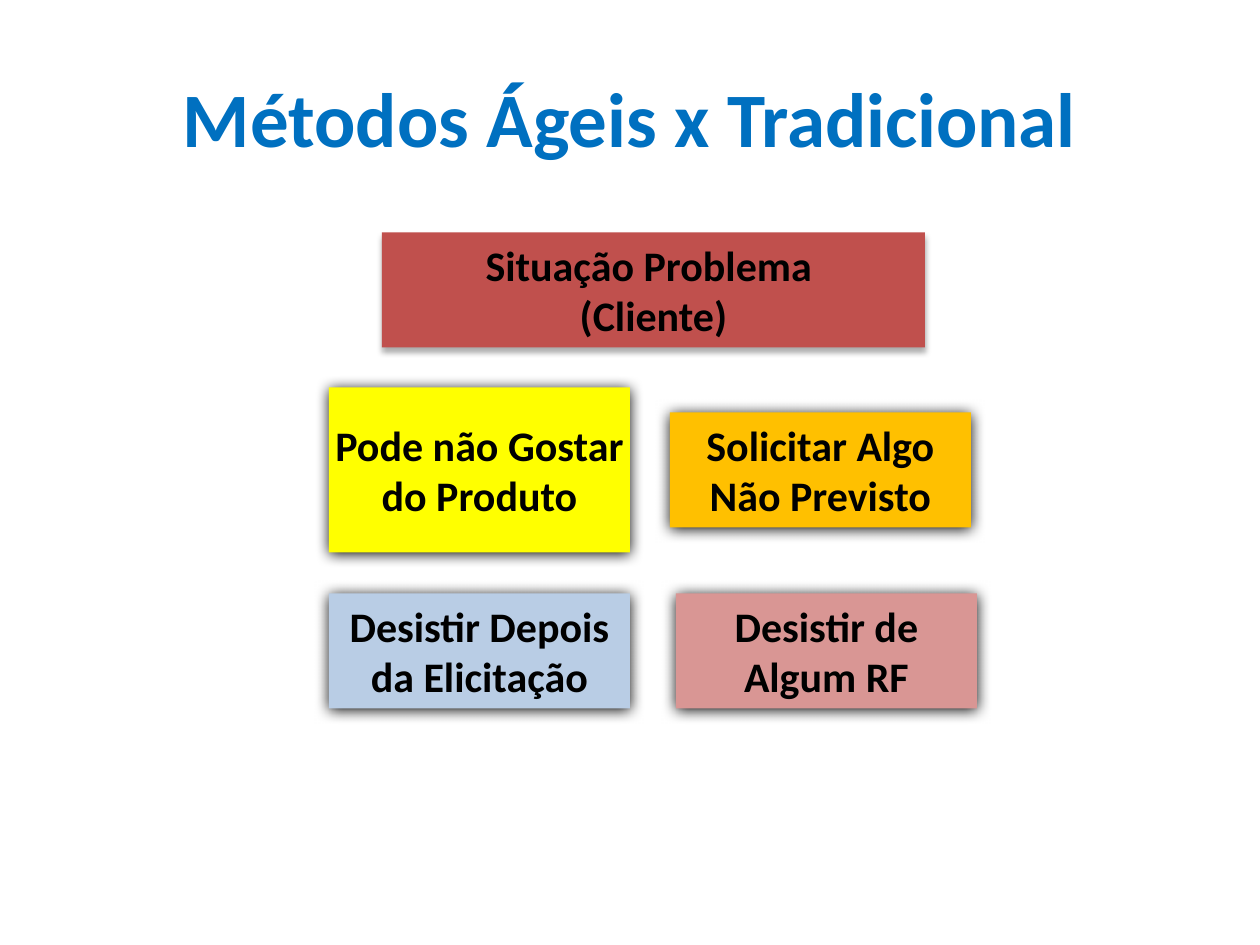
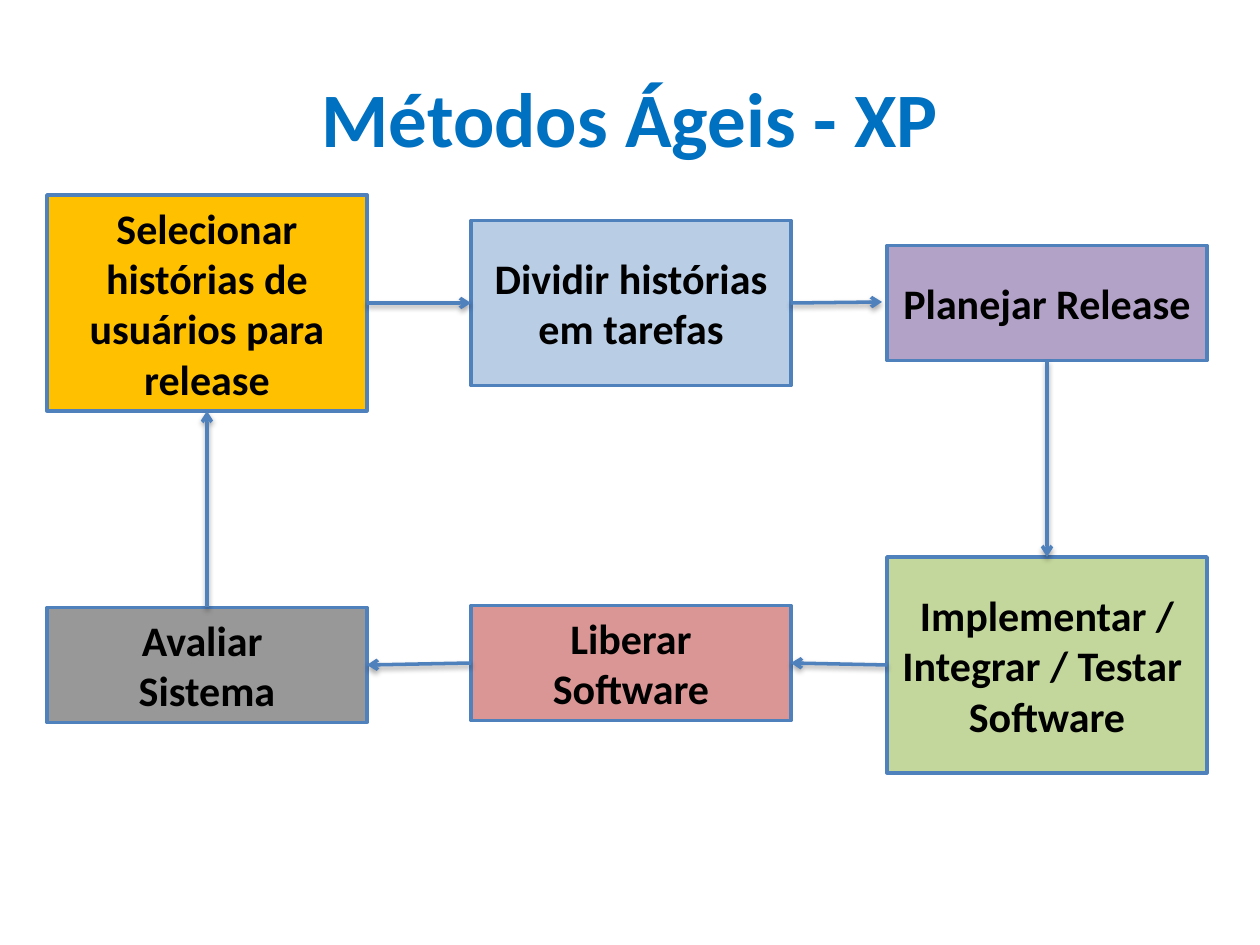
from lxml.etree import SubElement
from pptx import Presentation
from pptx.dml.color import RGBColor
from pptx.enum.shapes import MSO_CONNECTOR as Connector, MSO_SHAPE as Shape
from pptx.enum.text import MSO_ANCHOR as Anchor, MSO_AUTO_SIZE as AutoSize, PP_ALIGN as Align
from pptx.oxml.ns import qn
from pptx.util import Pt

SCALE = 914400 / 126  # EMU per px
SLIDE_W, SLIDE_H = 1260, 945
TITLE_BOX = (63, 38, 1134, 157)
TITLE_ONLY = 5
INSET = 6

BLUE, BLACK, LINE = "0070C0", "000000", "4F81BD"
AMBER, PALE_BLUE, ROSE = "FFC000", "B9CDE5", "D99694"
TOP, LEFT, BOTTOM, RIGHT = range(4)

# Shadows: opacity in %, blur and distance in points
SOFT_SHADOW = (32, 3.5, 2.2)
DARK_SHADOW = (100, 8.5, 1)
ARROW_SHADOW = (35, 3, 1.8)


def px(length):
    return round(length * SCALE)


def color(hex_string):
    return RGBColor.from_string(hex_string)


def set_attributes(target, values):
    for name, value in values.items():
        setattr(target, name, value)


def format_text(frame, size, text_color):
    set_attributes(frame, {
        "vertical_anchor": Anchor.MIDDLE, "word_wrap": True,
        "margin_left": px(INSET), "margin_right": px(INSET),
        "margin_top": px(INSET), "margin_bottom": px(INSET)})
    for paragraph in frame.paragraphs:
        paragraph.alignment = Align.CENTER
        set_attributes(paragraph.font, {"name": "Calibri", "size": Pt(size), "bold": True})
        paragraph.font.color.rgb = color(text_color)


def add_shadow(part, shadow):
    """Add a shadow that falls straight down."""
    opacity, blur, distance = shadow
    properties = part.element.spPr
    effects = properties.find(qn("a:effectLst"))
    if effects is None:
        effects = SubElement(properties, qn("a:effectLst"))
    outer = SubElement(effects, qn("a:outerShdw"), blurRad=str(Pt(blur)),
                       dist=str(Pt(distance)), dir="5400000", rotWithShape="0")
    black = SubElement(outer, qn("a:srgbClr"), val=BLACK)
    SubElement(black, qn("a:alpha"), val=str(opacity * 1000))


def add_titled_slide(deck, title):
    slide = deck.slides.add_slide(deck.slide_layouts[TITLE_ONLY])
    heading = slide.shapes.title
    set_attributes(heading, dict(zip(("left", "top", "width", "height"), map(px, TITLE_BOX))))
    heading.text_frame.text = title
    format_text(heading.text_frame, 44, BLUE)
    return slide


def add_card(slide, left, middle, width, lines, text, fill, shadow=None):
    """Add a card as tall as its lines of text, centred on the height middle."""
    height = round(2 * INSET + 2 + 50.4 * lines)
    card = slide.shapes.add_shape(Shape.RECTANGLE, px(left), px(middle - height / 2),
                                  px(width), px(height))
    card.shadow.inherit = False
    card.fill.solid()
    card.fill.fore_color.rgb = color(fill)
    if shadow:
        card.line.fill.background()
        add_shadow(card, shadow)
    else:
        card.line.color.rgb = color(LINE)
        card.line.width = Pt(2)
    card.text_frame.text = text
    format_text(card.text_frame, 24, BLACK)
    card.text_frame.auto_size = AutoSize.SHAPE_TO_FIT_TEXT
    return card


def add_arrow(slide, source, source_side, target, target_side, end=None):
    """Join two cards, or stop at the point end when it is given."""
    end_x, end_y = map(px, end or (0, 0))
    arrow = slide.shapes.add_connector(Connector.STRAIGHT, 0, 0, end_x, end_y)
    arrow.begin_connect(source, source_side)
    if not end:
        arrow.end_connect(target, target_side)
    arrow.line.color.rgb = color(LINE)
    arrow.line.width = Pt(2)
    SubElement(arrow.element.spPr.find(qn("a:ln")), qn("a:tailEnd"), type="arrow")
    add_shadow(arrow, ARROW_SHADOW)


def add_problem_cards(slide, left, top):
    """Client's situation above a grid of four risks."""
    add_card(slide, left + 53, top + 57, 543, 2, "Situação Problema \n(Cliente)",
             "C0504D", SOFT_SHADOW)
    risks = [
        (0, 237, 3, "Pode não Gostar do Produto", "FFFF00"),
        (0, 418, 2, "Desistir Depois da Elicitação", PALE_BLUE),
        (341, 237, 2, "Solicitar Algo Não Previsto", AMBER),
        (347, 418, 2, "Desistir de Algum RF", ROSE),
    ]
    for x, middle, lines, text, fill in risks:
        add_card(slide, left + x, top + middle, 301, lines, text, fill, DARK_SHADOW)


def add_xp_cycle(slide, left, top):
    """Six steps of a release, joined clockwise."""
    columns = (0, 424, 840)
    steps = [
        (0, 108, 4, "Selecionar histórias de usuários para release", AMBER),
        (1, 108, 3, "Dividir histórias em tarefas", PALE_BLUE),
        (2, 108, 2, "Planejar Release", "B3A2C7"),
        (2, 470, 4, "Implementar / Integrar / Testar \nSoftware", "C3D69B"),
        (1, 468, 2, "Liberar\nSoftware", ROSE),
        (0, 470, 2, "Avaliar \nSistema", "989898"),
    ]
    select, divide, plan, build, release, evaluate = [
        add_card(slide, left + columns[column], top + middle, 320, lines, text, fill)
        for column, middle, lines, text, fill in steps]

    add_arrow(slide, select, RIGHT, divide, LEFT)
    add_arrow(slide, divide, RIGHT, plan, LEFT, end=(left + 835, top + 107))
    add_arrow(slide, plan, BOTTOM, build, TOP)
    add_arrow(slide, build, LEFT, release, RIGHT)
    add_arrow(slide, release, LEFT, evaluate, RIGHT)
    add_arrow(slide, evaluate, TOP, select, BOTTOM)


def main():
    deck = Presentation()
    deck.slide_width, deck.slide_height = px(SLIDE_W), px(SLIDE_H)
    add_problem_cards(add_titled_slide(deck, "Métodos Ágeis x Tradicional"), 329, 233)
    add_xp_cycle(add_titled_slide(deck, "Métodos Ágeis - XP"), 47, 195)
    deck.save("out.pptx")


if __name__ == "__main__":
    main()
